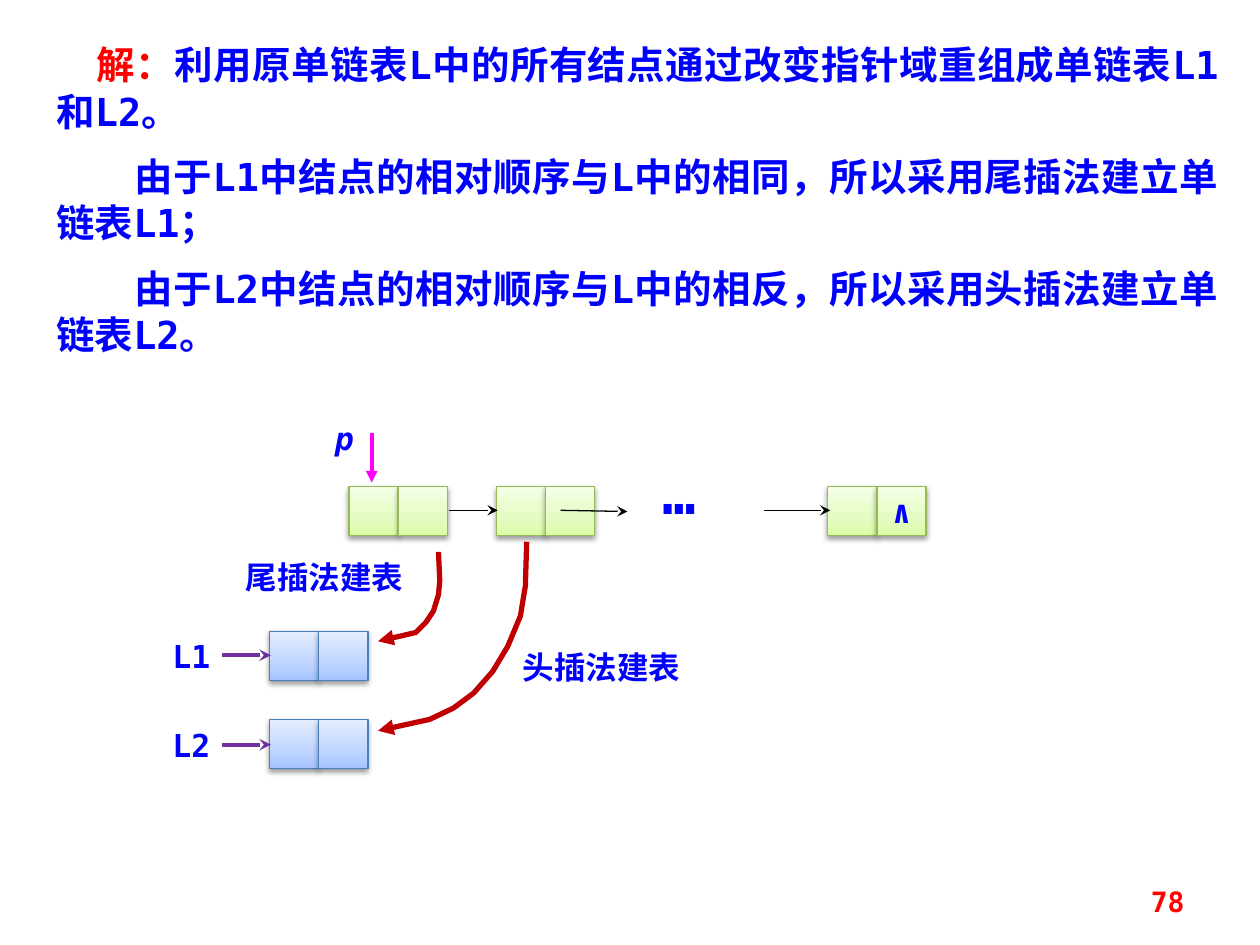
import copy
import lxml.etree
import pptx
import pptx.util
import pptx.dml.color
import pptx.enum.shapes
import pptx.enum.text
from pptx.oxml.ns import qn

Inches, Pt = pptx.util.Inches, pptx.util.Pt
Align = pptx.enum.text.PP_ALIGN
Anchor = pptx.enum.text.MSO_ANCHOR
MONO, SANS = "DejaVu Sans Mono", "Noto Sans CJK SC"
COLORS = {"blue": "0000FF", "red": "FF0000", "pink": "FF00FF", "black": "000000",
          "purple": "7030A0", "crimson": "C00000"}
CELLS = {
    "green": ("98B955", ["DAFDA7", "E4FCC2", "F5FFE7"]),
    "azure": ("4B7EBC", ["A4C4FF", "BFD4FF", "E6EEFF"]),
}
STOPS = [0, 0.35, 1]
SIDE = 0.39

BODY = [
    (0.32, [("解：", "red"),
            ("利用原单链表L中的所有结点通过改变指针域重组成单链表L1和L2。", "blue")]),
    (0.62, [("由于L1中结点的相对顺序与L中的相同，所以采用尾插法建立单链表L1；", "blue")]),
    (0.62, [("由于L2中结点的相对顺序与L中的相反，所以采用头插法建立单链表L2。", "blue")]),
]
NODES = [
    (2.77, 3.86, "green", ""),
    (3.94, 3.86, "green", ""),
    (6.57, 3.86, "green", "∧"),
    (2.14, 5.01, "azure", ""),
    (2.14, 5.71, "azure", ""),
]
ARROWS = [
    (3.56, 4.05, 3.95, 4.05, "black", 0.75, "stealth"),
    (4.45, 4.05, 4.98, 4.06, "black", 0.75, "stealth"),
    (6.06, 4.05, 6.59, 4.05, "black", 0.75, "stealth"),
    (1.76, 5.2, 2.15, 5.2, "purple", 2.25, "stealth"),
    (1.76, 5.91, 2.15, 5.91, "purple", 2.25, "stealth"),
    (2.95, 3.44, 2.95, 3.83, "pink", 2.25, "triangle"),
]
CURVES = [
    [(4.18, 4.3), (4.17, 4.65), (4.13, 4.89), (4.03, 5.13), (3.91, 5.33),
     (3.76, 5.5), (3.6, 5.62), (3.41, 5.71), (3, 5.8)],
    [(3.48, 4.38), (3.49, 4.61), (3.48, 4.72), (3.44, 4.85), (3.38, 4.94),
     (3.3, 5.02), (3, 5.09)],
]
LABELS = [
    ("p", 2.56, 3.28, 0.39, 0.4, 18, MONO, "blue"),
    ("…", 5.16, 3.59, 0.79, 0.63, 32, MONO, "blue"),
    ("L1", 1.27, 5.01, 0.55, 0.4, 18, MONO, "blue"),
    ("L2", 1.27, 5.71, 0.55, 0.4, 18, MONO, "blue"),
    ("尾插法建表", 1.85, 4.38, 2.05, 0.4, 18, SANS, "blue"),
    ("头插法建表", 4.05, 5.09, 1.65, 0.4, 18, SANS, "blue"),
    ("78", 7.17, 6.95, 2.33, 0.4, 16, MONO, "red"),
]


def paint(code):
    return pptx.dml.color.RGBColor.from_string(code)


def style(run, size, color, face=MONO):
    font = run.font
    font.size, font.bold, font.name = Pt(size), True, face
    font.color.rgb = paint(COLORS[color])
    east = lxml.etree.SubElement(run._r.get_or_add_rPr(), qn("a:ea"))
    east.set("typeface", MONO)


def cast(effect, blur, dist, angle, alpha):
    shade = lxml.etree.SubElement(effect, qn("a:outerShdw"), blurRad=str(Pt(blur)),
                                  dist=str(Pt(dist)), dir=str(angle * 60000), rotWithShape="0")
    tint = lxml.etree.SubElement(shade, qn("a:srgbClr"), val=COLORS["black"])
    lxml.etree.SubElement(tint, qn("a:alpha"), val=str(alpha * 1000))


def write(slide, left, top, width, height):
    box = slide.shapes.add_textbox(*map(Inches, (left, top, width, height)))
    box.text_frame.word_wrap = True
    return box.text_frame


def add_body(slide):
    frame = write(slide, 0.35, 0.28, 9.42, 2.69)
    for index, (indent, parts) in enumerate(BODY):
        para = frame.add_paragraph() if index else frame.paragraphs[0]
        para.alignment = Align.JUSTIFY
        para._p.get_or_add_pPr().set("indent", str(Inches(indent)))
        if index:
            para.space_before = Pt(11)
        for words, color in parts:
            run = para.add_run()
            run.text = words
            style(run, 22, color)
            effect = lxml.etree.Element(qn("a:effectLst"))
            cast(effect, 4, 3, 45, 40)
            run._r.rPr.find(qn("a:solidFill")).addnext(effect)


def add_cell(slide, left, top, kind, words):
    cell = slide.shapes.add_shape(pptx.enum.shapes.MSO_SHAPE.RECTANGLE,
                                  *map(Inches, (left, top, SIDE, SIDE)))
    edge, shades = CELLS[kind]
    cell.fill.gradient()
    cell.fill.gradient_angle = 90
    stops = cell._element.spPr.find(".//" + qn("a:gsLst"))
    stops.append(copy.deepcopy(stops[0]))
    for stop, place, shade in zip(cell.fill.gradient_stops, STOPS, shades):
        stop.position, stop.color.rgb = place, paint(shade)
    cell.line.color.rgb, cell.line.width = paint(edge), Pt(0.75)
    cell.shadow.inherit = False
    cast(cell._element.spPr.find(qn("a:effectLst")), 3.1, 1.6, 90, 38)
    if words:
        frame = cell.text_frame
        frame.text, frame.word_wrap = words, False
        frame.vertical_anchor = Anchor.MIDDLE
        frame.paragraphs[0].alignment = Align.CENTER
        style(frame.paragraphs[0].runs[0], 18, "blue")


def trim(shape, color, width, head):
    shape.line.color.rgb, shape.line.width = paint(COLORS[color]), Pt(width)
    props = shape._element.spPr
    lxml.etree.SubElement(props.find(qn("a:ln")), qn("a:tailEnd"), type=head)
    lxml.etree.SubElement(props, qn("a:effectLst"))


def add_label(slide, words, left, top, width, height, size, face, color):
    frame = write(slide, left, top, width, height)
    frame.text = words
    para = frame.paragraphs[0]
    style(para.runs[0], size, color, face)
    if words == "p":
        para.runs[0].font.italic = True
    if words == "78":
        para.alignment = Align.RIGHT
        frame.vertical_anchor = Anchor.MIDDLE


def main():
    deck = pptx.Presentation()
    deck.slide_width, deck.slide_height = Inches(10), Inches(7.5)
    slide = deck.slides.add_slide(deck.slide_layouts[6])
    add_body(slide)
    for left, top, kind, words in NODES:
        add_cell(slide, left, top, kind, "")
        add_cell(slide, left + SIDE, top, kind, words)
    for *ends, color, width, head in ARROWS:
        line = slide.shapes.add_connector(pptx.enum.shapes.MSO_CONNECTOR.STRAIGHT,
                                          *map(Inches, ends))
        trim(line, color, width, head)
    for points in CURVES:
        start, *rest = [(Inches(x), Inches(y)) for x, y in points]
        pen = slide.shapes.build_freeform(*start)
        pen.add_line_segments(rest, close=False)
        curve = pen.convert_to_shape()
        curve.fill.background()
        trim(curve, "crimson", 3, "triangle")
    for label in LABELS:
        add_label(slide, *label)
    deck.save("out.pptx")


if __name__ == "__main__":
    main()
